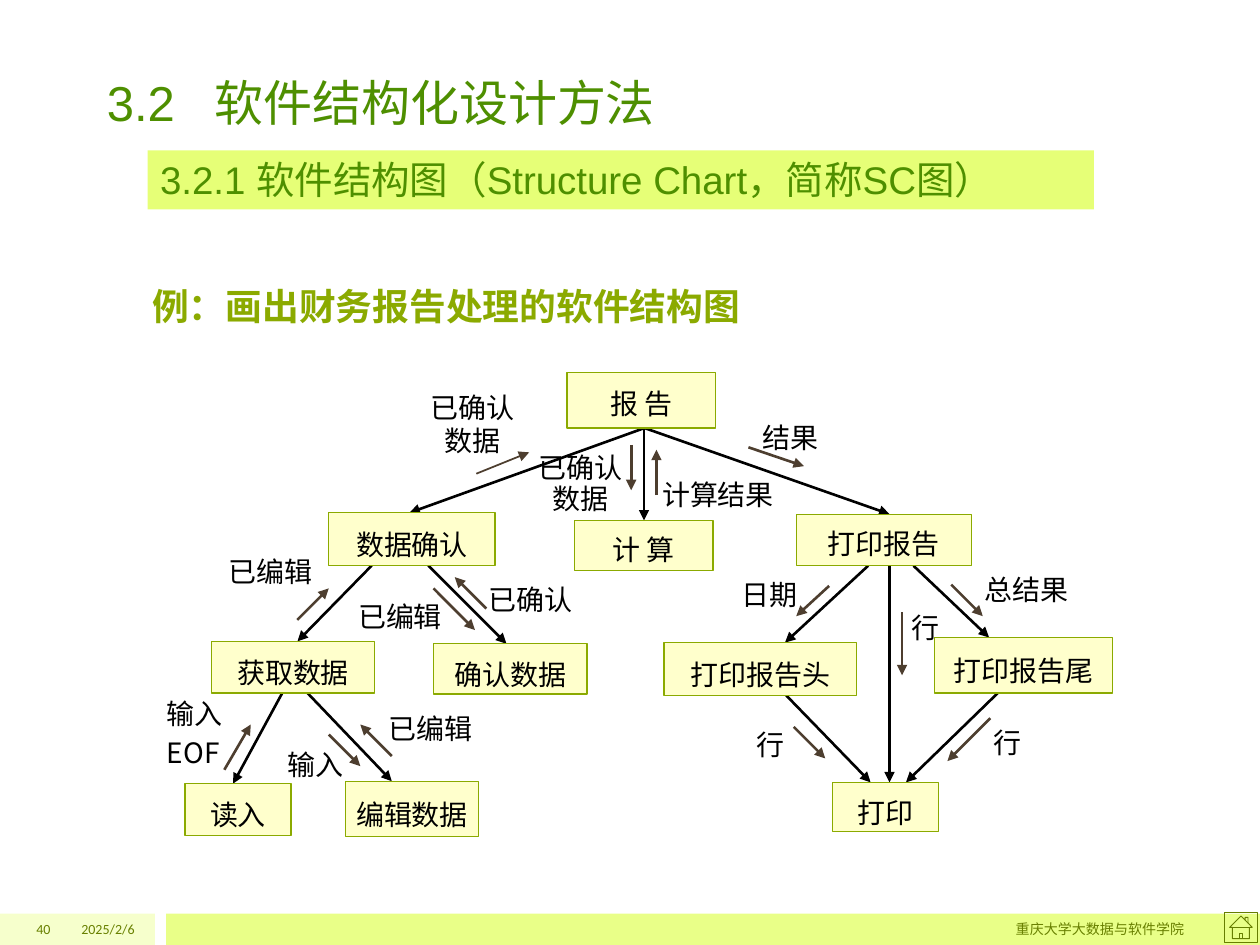
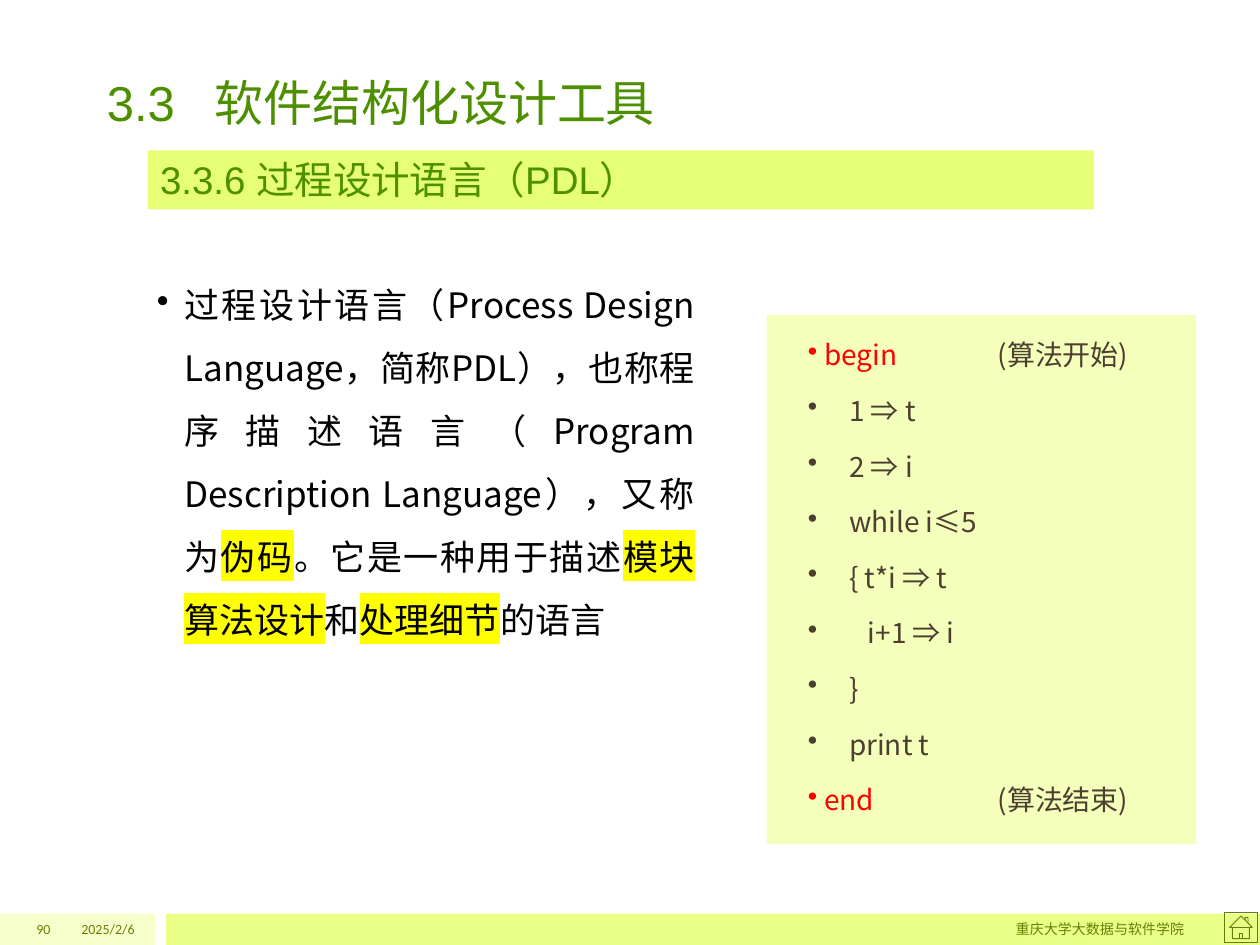
from dataclasses import dataclass
from lxml import etree
from pptx import Presentation
from pptx.dml.color import RGBColor
from pptx.enum.shapes import MSO_CONNECTOR, MSO_SHAPE
from pptx.enum.text import MSO_ANCHOR, PP_ALIGN
from pptx.oxml.ns import qn
from pptx.util import Pt

RECT, HOME = MSO_SHAPE.RECTANGLE, MSO_SHAPE.ACTION_BUTTON_HOME
STRAIGHT = MSO_CONNECTOR.STRAIGHT
TOP, MID, LOW = MSO_ANCHOR.TOP, MSO_ANCHOR.MIDDLE, MSO_ANCHOR.BOTTOM
LEFT, MIDST, RIGHT, JUST = PP_ALIGN.LEFT, PP_ALIGN.CENTER, PP_ALIGN.RIGHT, PP_ALIGN.JUSTIFY


@dataclass(frozen=True)
class Theme:
    head: str = "4E8F00"
    band: str = "E6FF77"
    foot: str = "688000"
    pale: str = "F6FFCC"
    lime: str = "E9FF88"
    icon: str = "677E00"
    edge: str = "8BAA00"
    node: str = "FFFFCC"
    panel: str = "F3FFBB"
    ink: str = "000000"
    flow: str = "4D3E2F"
    red: str = "FF0000"
    mark: str = "FFFF00"
    sans: str = "Arial"
    cjk: str = "Noto Sans CJK SC"
    small: str = "Calibri"
    title: int = 28
    sub: int = 22
    lead: int = 21
    body: int = 20
    label: int = 16
    note: int = 8


T = Theme()
TIGHT = (5.4, 2.7)
WIDE = (7.2, 3.6)

PAGES = [
    ("40", "3.2\t软件结构化设计方法", "3.2.1 软件结构图（Structure Chart，简称SC图）"),
    ("90", "3.3\t软件结构化设计工具", "3.3.6 过程设计语言（PDL）"),
]
DATE = "2025/2/6"
SCHOOL = "重庆大学大数据与软件学院"
TASK = "例：画出财务报告处理的软件结构图"

NODES = {
    "报 告": (324, 213, 85, 31.7, 1.2),
    "计 算": (328.3, 297.4, 79.2, 28.8, 1.2),
    "打印报告": (455, 293.8, 100.1, 29.5, 1.2),
    "数据确认": (187.9, 293, 95, 30.2, 1.3),
    "获取数据": (121, 366.5, 92.9, 29.5, 1.3),
    "确认数据": (247.7, 367.9, 87.8, 28.8, 1.3),
    "打印报告头": (379.4, 367.2, 110.2, 30.2, 1.3),
    "打印报告尾": (534.2, 364.3, 101.5, 31.7, 1.3),
    "读入": (105.8, 447.8, 60.5, 29.5, 1.3),
    "编辑数据": (197.3, 446.4, 76.3, 31.7, 1.3),
    "打印": (475.9, 447.1, 60.5, 28.1, 1.3),
}
CALLS = [
    ("报 告", "数据确认", 368, 234),
    ("报 告", "计 算", 368, 368),
    ("报 告", "打印报告", 368.6, 508.3),
    ("数据确认", "获取数据", 212.4, 170),
    ("数据确认", "确认数据", 244.8, 289.4),
    ("获取数据", "读入", 161.3, 133.2),
    ("获取数据", "编辑数据", 175.7, 223.9),
    ("打印报告", "打印报告头", 496.1, 448.6),
    ("打印报告", "打印报告尾", 522, 565.2),
    ("打印报告", "打印", 508.3, 508.3),
    ("打印报告头", "打印", 449.3, 497.5),
    ("打印报告尾", "打印", 570.2, 517.7),
]
FLOWS = [
    (["输入", "EOF"], (90, 395.3, 47.5), LEFT, 1, 3.2, (128.2, 439.9, 143.3, 414), 1.5),
    (["输入"], (159.1, 419, 43.2), LEFT, 1.3, 0, (187.9, 419.8, 205.9, 437.8), 1.5),
    (["已编辑"], (216.7, 398.2, 83.5), LEFT, 1.3, 0, (223.9, 432, 205.9, 414), 1.5),
    (["已编辑"], (125.3, 308.2, 59), LEFT, 1.3, 0, (169.9, 354.2, 187.9, 336.2), 1.5),
    (["已编辑"], (197.3, 339.8, 62.6), MIDST, 1, 0, (247.7, 336.2, 271.4, 360), 1.5),
    (["已确认"], (273.6, 324.7, 72.7), LEFT, 1.3, 0, (277.9, 347.8, 259.9, 329.8), 1.5),
    (["已确认", "数据"], (236.2, 220.3, 67.7), MIDST, 1, 0, (272.2, 270.7, 302.4, 258.5), 1),
    (["已确认", "数据"], (302.4, 259.2, 59), MIDST, 0.75, 3.2, (360.7, 254.2, 360.7, 280.1), 1.5),
    (["计算结果"], (373, 264.2, 83.5), LEFT, 1.3, 0, (375.1, 283, 375.1, 257), 1.5),
    (["结果"], (430.6, 231.8, 43.2), LEFT, 1.3, 0, (427.7, 255.6, 459.4, 266.4), 1.5),
    (["日期"], (418.3, 321.8, 43.2), LEFT, 1.3, 0, (473.8, 334.8, 455, 352.1), 1.5),
    (["总结果"], (550.1, 319, 72.7), MIDST, 1.3, 0, (543.6, 334.1, 561.6, 352.1), 1.5),
    (["行"], (510.5, 340.6, 36.7), MIDST, 1.3, 0, (515.5, 349.9, 515.5, 385.9), 1.5),
    (["行"], (427, 407.5, 27.4), LEFT, 1.3, 0, (453.6, 415.4, 471.6, 433.4), 1.5),
    (["行"], (562.3, 406.1, 48.2), LEFT, 1.3, 0, (565.9, 410.4, 541.4, 434.9), 1.5),
]

ABOUT = [
    ("过程设计语言（Process Design Language，简称PDL），也称程序描述语言"
     "（Program Description Language），又称为", None),
    ("伪码", T.mark),
    ("。它是一种用于描述", None),
    ("模块算法设计", T.mark),
    ("和", None),
    ("处理细节", T.mark),
    ("的语言", None),
]
CODE = [
    ("begin", "\t(算法开始)"),
    ("    1 ⇒ t",),
    ("    2 ⇒ i",),
    ("    while i≤5",),
    ("    { t*i ⇒ t",),
    ("       i+1 ⇒ i",),
    ("    }",),
    ("    print t",),
    ("end", "\t(算法结束)"),
]


def rgb(hue):
    return RGBColor.from_string(hue)


def assign(thing, values):
    for key, value in values.items():
        setattr(thing, key, value)


def add(home, tag, **atts):
    return etree.SubElement(home, qn(tag), atts)


def box(slide, place, fill=None, edge=None, width=0.75, kind=RECT):
    shape = slide.shapes.add_shape(kind, *map(Pt, place))
    shape.shadow.inherit = False
    if fill:
        shape.fill.solid()
        shape.fill.fore_color.rgb = rgb(fill)
    else:
        shape.fill.background()
    if edge:
        shape.line.color.rgb = rgb(edge)
        shape.line.width = Pt(width)
    else:
        shape.line.fill.background()
    return shape


def arrow(slide, ends, hue, width=1.5):
    line = slide.shapes.add_connector(STRAIGHT, *map(Pt, ends))
    line.line.color.rgb = rgb(hue)
    line.line.width = Pt(width)
    props = line._element.spPr
    add(props.find(qn("a:ln")), "a:tailEnd", type="triangle")
    add(props, "a:effectLst")


def style(run, size, hue, face, bold=False, mark=None):
    assign(run.font, {"size": Pt(size), "bold": bold, "name": face})
    run.font.color.rgb = rgb(hue)
    latin = run._r.rPr.find(qn("a:latin"))
    latin.addnext(etree.Element(qn("a:ea"), typeface=T.cjk))
    if mark:
        light = etree.Element(qn("a:highlight"))
        add(light, "a:srgbClr", val=mark)
        latin.addprevious(light)


def write(shape, rows, size, hue=T.ink, face=T.cjk, bold=False, align=LEFT,
          anchor=TOP, inset=WIDE, lead=1, gap=0, hang=None, tab=None):
    frame = shape.text_frame
    side, edge = map(Pt, inset)
    assign(frame, {"word_wrap": True, "vertical_anchor": anchor,
                   "margin_left": side, "margin_right": side,
                   "margin_top": edge, "margin_bottom": edge})
    for num, row in enumerate(rows):
        para = frame.add_paragraph() if num else frame.paragraphs[0]
        assign(para, {"alignment": align, "line_spacing": lead,
                      "space_before": Pt(gap if num else 0)})
        props = para._p.get_or_add_pPr()
        if hang:
            left, dent = hang
            props.set("marL", str(Pt(left)))
            props.set("indent", str(Pt(-dent)))
            add(props, "a:buChar", char="•")
        if tab:
            add(add(props, "a:tabLst"), "a:tab", pos=str(Pt(tab)), algn="l")
        for part in [(row,)] if isinstance(row, str) else row:
            words, mark, tint = (*part, None, None)[:3]
            run = para.add_run()
            run.text = words
            style(run, size, tint or hue, face, bold, mark)


def label(slide, place, rows, size, **form):
    write(slide.shapes.add_textbox(*map(Pt, place)), rows, size, **form)


def base(deck, page, title, sub):
    slide = deck.slides.add_slide(deck.slide_layouts[6])
    box(slide, (0, 522, 88.6, 18), T.pale)
    box(slide, (95, 522, 625, 18), T.lime)
    box(slide, (699.8, 521.3, 18.7, 17.3), edge=T.icon, width=0.5, kind=HOME)
    label(slide, (54, 27.4, 612.7, 51.1), [title], T.title, hue=T.head,
          face=T.sans, anchor=LOW, tab=61.5)
    for left, wide, words in [(36, 48.2, DATE), (144, 540, SCHOOL), (0, 36, page)]:
        label(slide, (left, 522, wide, 18), [words], T.note, hue=T.foot,
              face=T.small, align=RIGHT, anchor=MID)
    band = box(slide, (84.4, 85.9, 540.7, 33.8), T.band)
    write(band, [sub], T.sub, hue=T.head, face=T.sans)
    return slide


def chart(slide):
    label(slide, (79.9, 142.6, 375.8, 48.2), [TASK], T.lead, hue=T.edge,
          bold=True, align=JUST, anchor=LOW)
    for above, below, start, end in CALLS:
        _, top, _, high, _ = NODES[above]
        arrow(slide, (start, top + high, end, NODES[below][1]), T.ink)
    for name, (*place, lead) in NODES.items():
        write(box(slide, place, T.node, T.edge), [name], T.label,
              align=MIDST, anchor=MID, inset=TIGHT, lead=lead)
    for rows, spot, align, lead, gap, ends, width in FLOWS:
        arrow(slide, ends, T.flow, width)
        label(slide, (*spot, 31 if len(rows) == 1 else 46), rows, T.label,
              align=align, inset=TIGHT, lead=lead, gap=gap)


def pseudo(slide):
    label(slide, (84.2, 147.6, 318.2, 162.7), [ABOUT], T.body, align=JUST,
          inset=TIGHT, lead=1.5, hang=(15.8, 15.8))
    rows = []
    for first, *rest in CODE:
        tint = T.red if rest else T.flow
        rows.append([(first, None, tint)] + [(note,) for note in rest])
    write(box(slide, (438, 180, 245.5, 302.4), T.panel), rows, T.label,
          hue=T.flow, lead=1.5, gap=3, hang=(25.9, 9.4), tab=125)


def main():
    deck = Presentation()
    assign(deck, {"slide_width": Pt(720), "slide_height": Pt(540)})
    for page, draw in zip(PAGES, (chart, pseudo)):
        draw(base(deck, *page))
    deck.save("out.pptx")


if __name__ == "__main__":
    main()
